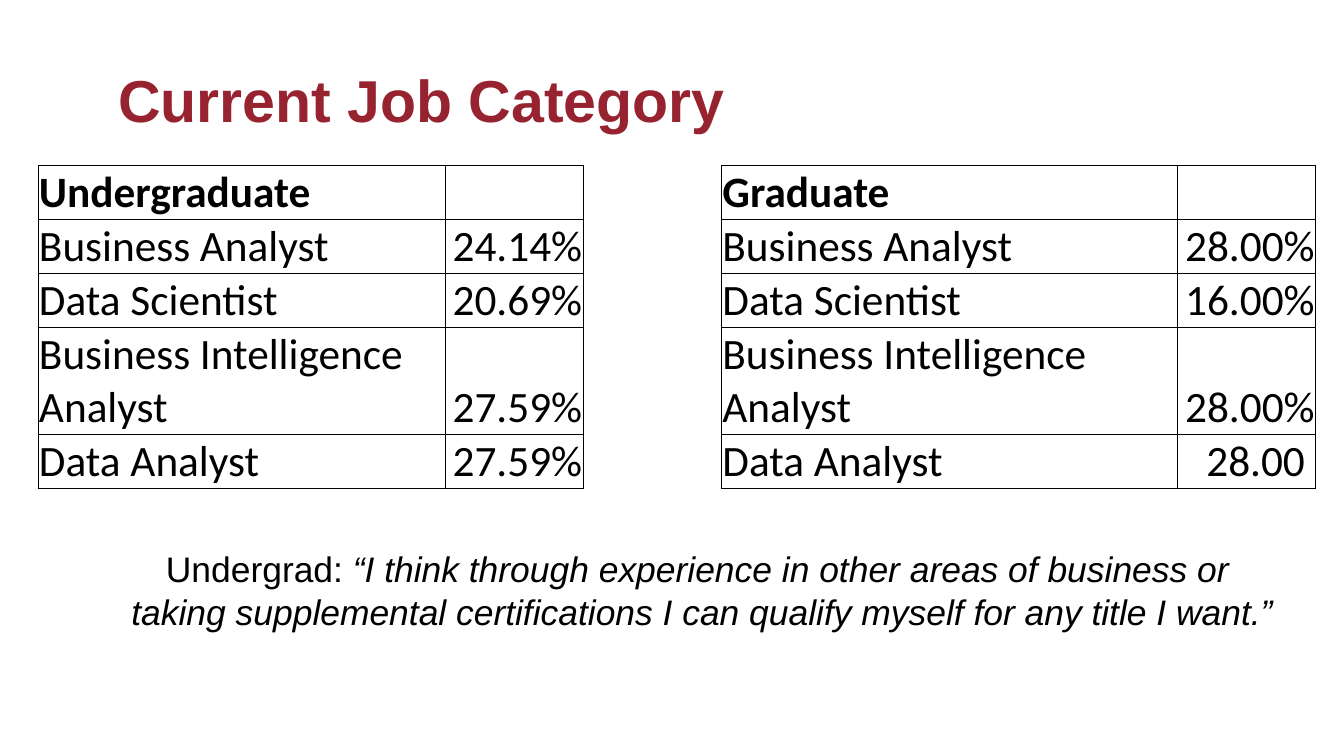
from dataclasses import dataclass

from lxml.etree import SubElement
from pptx import Presentation
from pptx.dml.color import RGBColor as Color
from pptx.enum.text import MSO_ANCHOR as Anchor, PP_ALIGN as Align
from pptx.oxml.ns import qn
from pptx.util import Pt

PX = 12915


@dataclass(frozen=True)
class Theme:
    title_color: Color = Color(0x96, 0x23, 0x2F)
    ink: Color = Color(0, 0, 0)
    text_font: str = "Arial"
    table_font: str = "Calibri"
    title_size: int = 60
    table_size: int = 44
    quote_size: int = 36
    border_width: int = 1


theme = Theme()


def set_font(span, **formats):
    color = formats.pop("color", theme.ink)
    for name, value in formats.items():
        setattr(span.font, name, value)
    span.font.color.rgb = color


def draw_borders(cell, visible):
    """Rule the sides named in visible (from L, R, T, B) and hide the others."""
    properties = cell._tc.get_or_add_tcPr()
    for side in "LRTB":
        line = SubElement(properties, qn(f"a:ln{side}"), w=str(Pt(theme.border_width)))
        if side in visible:
            fill = SubElement(line, qn("a:solidFill"))
            SubElement(fill, qn("a:srgbClr"), val=str(theme.ink))
        else:
            SubElement(line, qn("a:noFill"))


deck = Presentation()
deck.slide_width, deck.slide_height = 1343 * PX, 755 * PX
page = deck.slides.add_slide(deck.slide_layouts[5])

# Title
title = page.shapes.title
title.left, title.top, title.width, title.height = (n * PX for n in (118, 59, 1109, 89))
frame = title.text_frame
for side in ("left", "right", "top", "bottom"):
    setattr(frame, f"margin_{side}", 0)
frame.vertical_anchor = Anchor.MIDDLE
para = frame.paragraphs[0]
para.alignment = Align.LEFT
para.line_spacing = 0.9
span = para.add_run()
span.text = "Current Job Category"
set_font(span, name=theme.text_font, size=Pt(theme.title_size), bold=True, color=theme.title_color)

# Two job tables side by side, parted by an open gap column
job_rows = [
    ("Undergraduate", "", "", "Graduate", ""),
    ("Business Analyst", "24.14%", "", "Business Analyst", "28.00%"),
    ("Data Scientist", "20.69%", "", "Data Scientist", "16.00%"),
    ("Business Intelligence Analyst", "27.59%", "", "Business Intelligence Analyst", "28.00%"),
    ("Data Analyst", "27.59%", "", "Data Analyst", "28.00 "),
]
column_widths = (407, 138, 138, 456, 138)
row_heights = (54, 54, 53, 107, 54)
gap_column = 2
share_columns = (1, 4)

table_frame = page.shapes.add_table(
    len(job_rows), len(column_widths), 38 * PX, 165 * PX,
    sum(column_widths) * PX, sum(row_heights) * PX)
table = table_frame.table
table.first_row = table.horz_banding = False
for column, width in zip(table.columns, column_widths):
    column.width = width * PX
for row, height in zip(table.rows, row_heights):
    row.height = height * PX

cell_format = {"margin_left": PX, "margin_right": PX, "margin_top": PX,
               "margin_bottom": 0, "vertical_anchor": Anchor.BOTTOM}
for row_index, texts in enumerate(job_rows):
    for column_index, text in enumerate(texts):
        cell = table.cell(row_index, column_index)
        for name, value in cell_format.items():
            setattr(cell, name, value)
        draw_borders(cell, "LR" if column_index == gap_column else "LRTB")
        cell.fill.background()
        if text:
            para = cell.text_frame.paragraphs[0]
            para.alignment = Align.RIGHT if column_index in share_columns else Align.LEFT
            span = para.add_run()
            span.text = text
            set_font(span, name=theme.table_font, size=Pt(theme.table_size), bold=row_index == 0)

# Quote
box = page.shapes.add_textbox(*(n * PX for n in (51, 543, 1292, 93)))
box.text_frame.word_wrap = True
para = box.text_frame.paragraphs[0]
para.alignment = Align.CENTER
quote_parts = [
    ("Undergrad: ", False),
    ("“I think through experience in other areas of business or", True),
    (" taking supplemental certifications I can qualify myself for any title I want.”", True),
]
for index, (text, italic) in enumerate(quote_parts):
    if index == 2:
        para.add_line_break()
    span = para.add_run()
    span.text = text
    set_font(span, name=theme.text_font, size=Pt(theme.quote_size), italic=italic)

deck.save("out.pptx")
